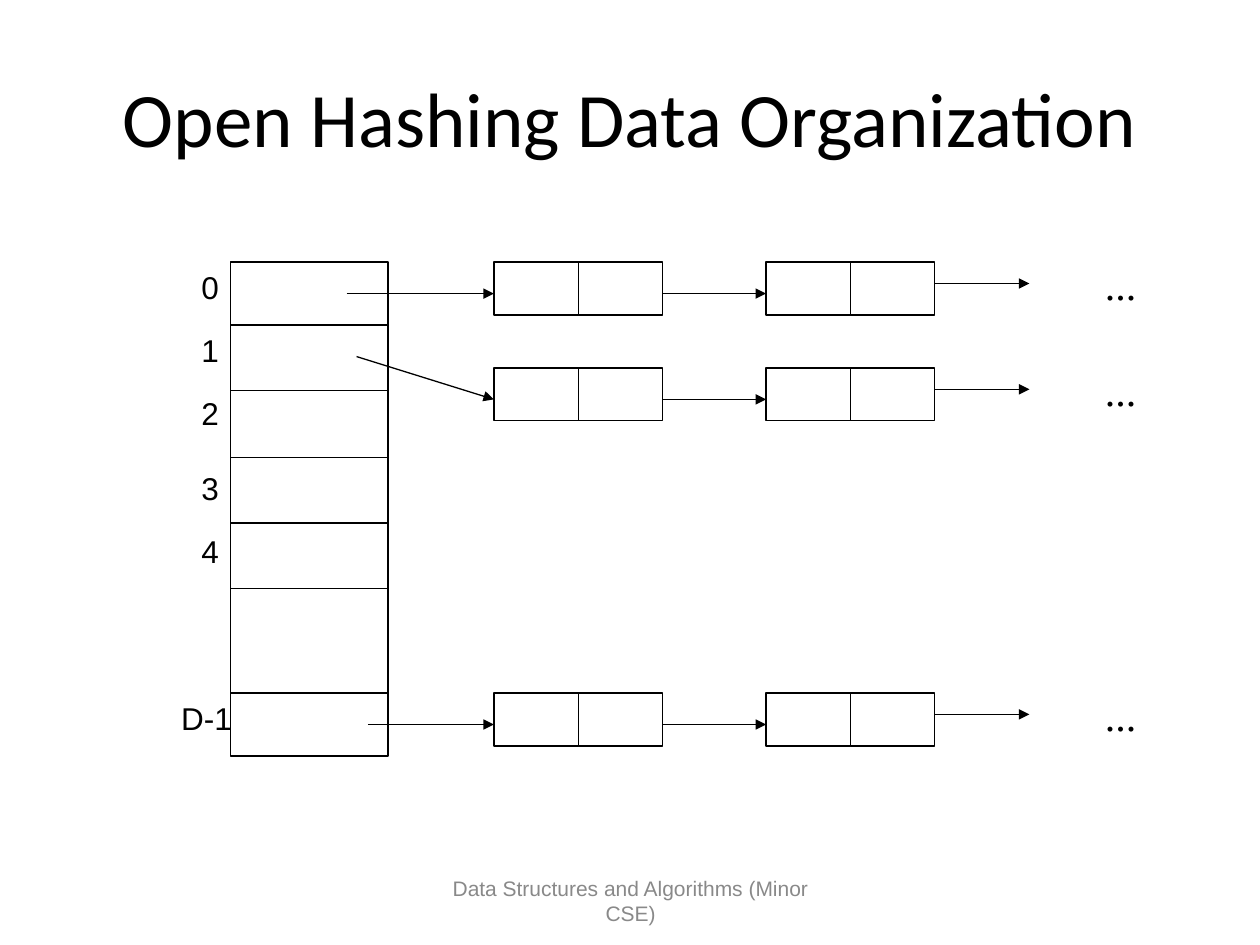
"""Build the slide that shows how an open hashing table organizes its data."""
from lxml import etree
from pptx import Presentation
from pptx.dml.color import RGBColor
from pptx.enum.shapes import MSO_CONNECTOR, MSO_SHAPE
from pptx.enum.text import MSO_ANCHOR, PP_ALIGN
from pptx.oxml.ns import qn
from pptx.util import Inches, Pt

STRAIGHT = MSO_CONNECTOR.STRAIGHT
RECTANGLE = MSO_SHAPE.RECTANGLE
TOP, MIDDLE = MSO_ANCHOR.TOP, MSO_ANCHOR.MIDDLE
LEFT, CENTER = PP_ALIGN.LEFT, PP_ALIGN.CENTER
BLACK = RGBColor(0x00, 0x00, 0x00)
GRAY = RGBColor(0x89, 0x89, 0x89)
LINE_WIDTH = Pt(0.75)

TITLE = {"name": "Calibri", "size": Pt(44)}
LABEL = {"name": "Arial", "size": Pt(18)}
DOTS = {"name": "Times New Roman", "size": Pt(24)}
FOOTER = {"name": "Arial", "size": Pt(12)}


def add_text(box, text, font, color=BLACK, wrap=False, align=LEFT, anchor=TOP):
    frame = slide.shapes.add_textbox(*map(Inches, box)).text_frame
    for key, value in {"word_wrap": wrap, "vertical_anchor": anchor}.items():
        setattr(frame, key, value)
    paragraph = frame.paragraphs[0]
    paragraph.text = text
    paragraph.alignment = align
    for key, value in font.items():
        setattr(paragraph.font, key, value)
    paragraph.font.color.rgb = color


def add_line(x1, y1, x2, y2, arrow=False):
    connector = slide.shapes.add_connector(STRAIGHT, *map(Inches, (x1, y1, x2, y2)))
    connector.line.color.rgb = BLACK
    connector.line.width = LINE_WIDTH
    if arrow:
        etree.SubElement(connector.line._get_or_add_ln(), qn("a:tailEnd"), type="triangle")
    etree.SubElement(connector._element.spPr, qn("a:effectLst"))


prs = Presentation()
prs.slide_width, prs.slide_height = Inches(10), Inches(7.5)
slide = prs.slides.add_slide(prs.slide_layouts[6])

add_text((0.5, 0.3, 9, 1.25), "Open Hashing Data Organization", TITLE,
         wrap=True, align=CENTER, anchor=MIDDLE)

table_left, table_right, table_top = 1.83, 3.08, 2.08
node_lefts = (3.92, 6.08)
node_width, node_height = 0.67, 0.42
chains = (
    (2.08, 2.75, 2.33),
    (2.92, 2.83, 2.83),
    (5.5, 2.92, 5.75),
)

rectangles = [(table_left, table_top, table_right - table_left, 3.92)]
for chain_top, *_ in chains:
    for node_left in node_lefts:
        for cell_left in (node_left, node_left + node_width):
            rectangles.append((cell_left, chain_top, node_width, node_height))

for rectangle in rectangles:
    cell = slide.shapes.add_shape(RECTANGLE, *map(Inches, rectangle))
    cell.shadow.inherit = False
    cell.fill.background()
    cell.line.color.rgb = BLACK
    cell.line.width = LINE_WIDTH

for divider in (2.58, 3.1, 3.63, 4.15, 4.67, 5.5):
    add_line(table_left, divider, table_right, divider)

for bucket, label_top in enumerate((2.08, 2.58, 3.08, 3.67, 4.17)):
    add_text((1.5, label_top, 0.34, 0.4), str(bucket), LABEL)
add_text((1.34, 5.5, 0.6, 0.4), "D-1", LABEL)

first_node, second_node = node_lefts
for chain_top, pointer_x, pointer_y in chains:
    link_y = chain_top + 0.25
    next_y = chain_top + 0.17
    add_line(pointer_x, pointer_y, first_node, link_y, arrow=True)
    add_line(first_node + 2 * node_width, link_y, second_node, link_y, arrow=True)
    add_line(second_node + 2 * node_width, next_y, 8.17, next_y, arrow=True)
    add_text((8.67, chain_top - 0.08, 0.45, 0.5), "...", DOTS)

add_text((3.42, 6.95, 3.17, 0.4), "Data Structures and Algorithms (Minor CSE)", FOOTER,
         color=GRAY, wrap=True, align=CENTER, anchor=MIDDLE)

prs.save("out.pptx")
